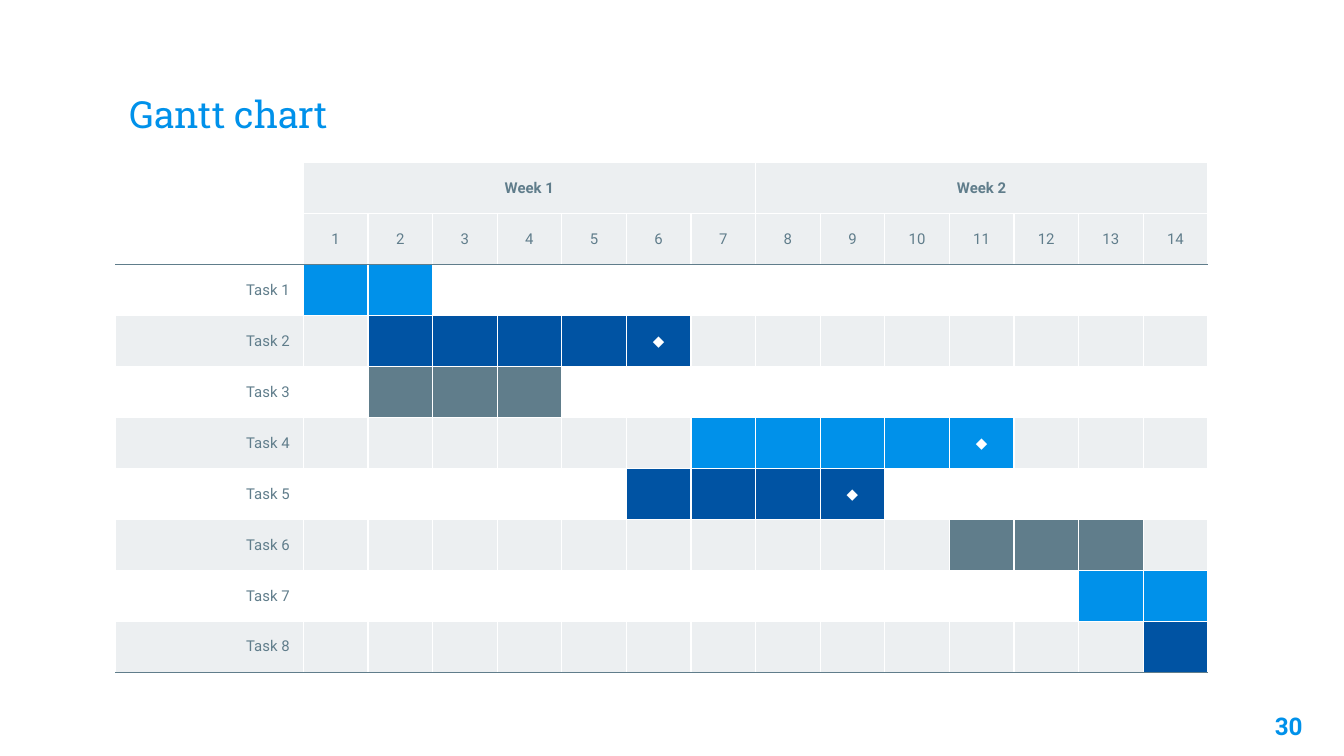
from lxml.etree import SubElement
from pptx import Presentation
from pptx.dml.color import RGBColor
from pptx.enum.text import MSO_ANCHOR, PP_ALIGN
from pptx.oxml.ns import qn
from pptx.util import Pt

BLUE, NAVY, SLATE, PALE, WHITE = "0091EA", "0053A3", "607D8B", "ECEFF1", "FFFFFF"
DAYS = 14
WEEK = 7
HEADER_ROWS = 2
TASKS = [
    (1, 2, BLUE, False),
    (2, 6, NAVY, True),
    (2, 4, SLATE, False),
    (7, 11, BLUE, True),
    (6, 9, NAVY, True),
    (11, 13, SLATE, False),
    (13, 14, BLUE, False),
    (14, 14, NAVY, False),
]


def rgb(value):
    return RGBColor.from_string(value)


def set_attrs(obj, values):
    for name, value in values.items():
        setattr(obj, name, value)


def write(tf, text, size, color, align, font="Roboto", bold=False):
    p = tf.paragraphs[0]
    p.alignment = align
    r = p.add_run()
    r.text = text
    set_attrs(r.font, {"name": font, "size": Pt(size), "bold": bold})
    r.font.color.rgb = rgb(color)


def format_frame(tf, anchor):
    set_attrs(tf, {
        "word_wrap": True, "vertical_anchor": anchor,
        "margin_left": Pt(7.2), "margin_right": Pt(7.2),
        "margin_top": Pt(7.2), "margin_bottom": Pt(7.2),
    })


def add_title(s, text):
    sp = s.shapes.title
    set_attrs(sp, {"left": Pt(62), "top": Pt(24.5), "width": Pt(596), "height": Pt(55.4)})
    format_frame(sp.text_frame, MSO_ANCHOR.BOTTOM)
    write(sp.text_frame, text, 20, BLUE, PP_ALIGN.LEFT, "Roboto Slab")


def add_page_number(s, text):
    sp = s.shapes.add_textbox(Pt(661.7), Pt(373.7), Pt(43.2), Pt(31))
    format_frame(sp.text_frame, MSO_ANCHOR.TOP)
    write(sp.text_frame, text, 13, BLUE, PP_ALIGN.RIGHT, bold=True)


def add_borders(cell, top, bottom):
    tcPr = cell._tc.get_or_add_tcPr()
    for side, color in {"L": WHITE, "R": WHITE, "T": top, "B": bottom}.items():
        ln = SubElement(tcPr, qn(f"a:ln{side}"), w=str(Pt(0.75)))
        SubElement(SubElement(ln, qn("a:solidFill")), qn("a:srgbClr"), val=color)


def format_cell(cell, fill, top=WHITE, bottom=WHITE):
    set_attrs(cell, {"vertical_anchor": MSO_ANCHOR.MIDDLE, "margin_top": 0, "margin_bottom": 0})
    add_borders(cell, top, bottom)
    if fill:
        cell.fill.solid()
        cell.fill.fore_color.rgb = rgb(fill)
    else:
        cell.fill.background()


def write_cell(cell, text, color=SLATE, align=PP_ALIGN.CENTER, bold=False):
    set_attrs(cell, {"margin_top": Pt(3.6), "margin_bottom": Pt(3.6)})
    write(cell.text_frame, text, 8, color, align, bold=bold)


def fill_header(table):
    for col in range(DAYS + 1):
        fill = PALE if col else None
        format_cell(table.cell(0, col), fill)
        format_cell(table.cell(1, col), fill, bottom=SLATE)
        if col:
            write_cell(table.cell(1, col), str(col))
    for week, first in enumerate(range(1, DAYS + 1, WEEK), 1):
        cell = table.cell(0, first)
        cell.merge(table.cell(0, first + WEEK - 1))
        write_cell(cell, f"Week {week}", bold=True)


def fill_task(table, number, start, end, color, milestone):
    row = HEADER_ROWS + number - 1
    band = None if number % 2 else PALE
    top = SLATE if number == 1 else WHITE
    bottom = SLATE if number == len(TASKS) else WHITE
    for col in range(DAYS + 1):
        fill = color if start <= col <= end else band
        format_cell(table.cell(row, col), fill, top, bottom)
    write_cell(table.cell(row, 0), f"Task {number}", align=PP_ALIGN.RIGHT)
    if milestone:
        write_cell(table.cell(row, end), "◆", WHITE)


def add_gantt(s):
    rows = HEADER_ROWS + len(TASKS)
    label_w, day_w, row_h = 100.5, 34.63, 27.3
    table = s.shapes.add_table(
        rows, DAYS + 1, Pt(62), Pt(87.2), Pt(label_w + DAYS * day_w), Pt(rows * row_h)
    ).table
    set_attrs(table, {"first_row": False, "horz_banding": False})
    for i, column in enumerate(table.columns):
        column.width = Pt(day_w if i else label_w)
    for row in table.rows:
        row.height = Pt(row_h)
    fill_header(table)
    for number, task in enumerate(TASKS, 1):
        fill_task(table, number, *task)


def main():
    prs = Presentation()
    set_attrs(prs, {"slide_width": Pt(720), "slide_height": Pt(405)})
    s = prs.slides.add_slide(prs.slide_layouts[5])
    add_title(s, "Gantt chart")
    add_page_number(s, "30")
    add_gantt(s)
    prs.save("out.pptx")


if __name__ == "__main__":
    main()
